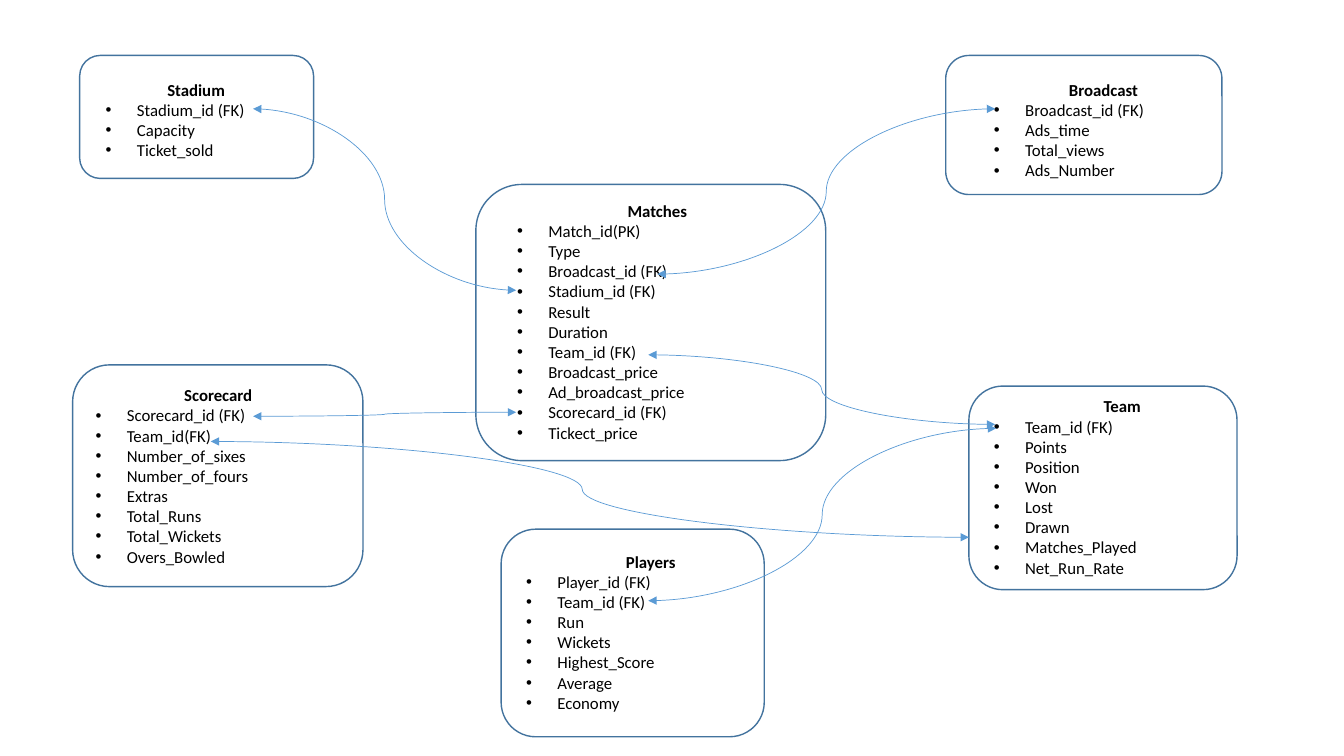
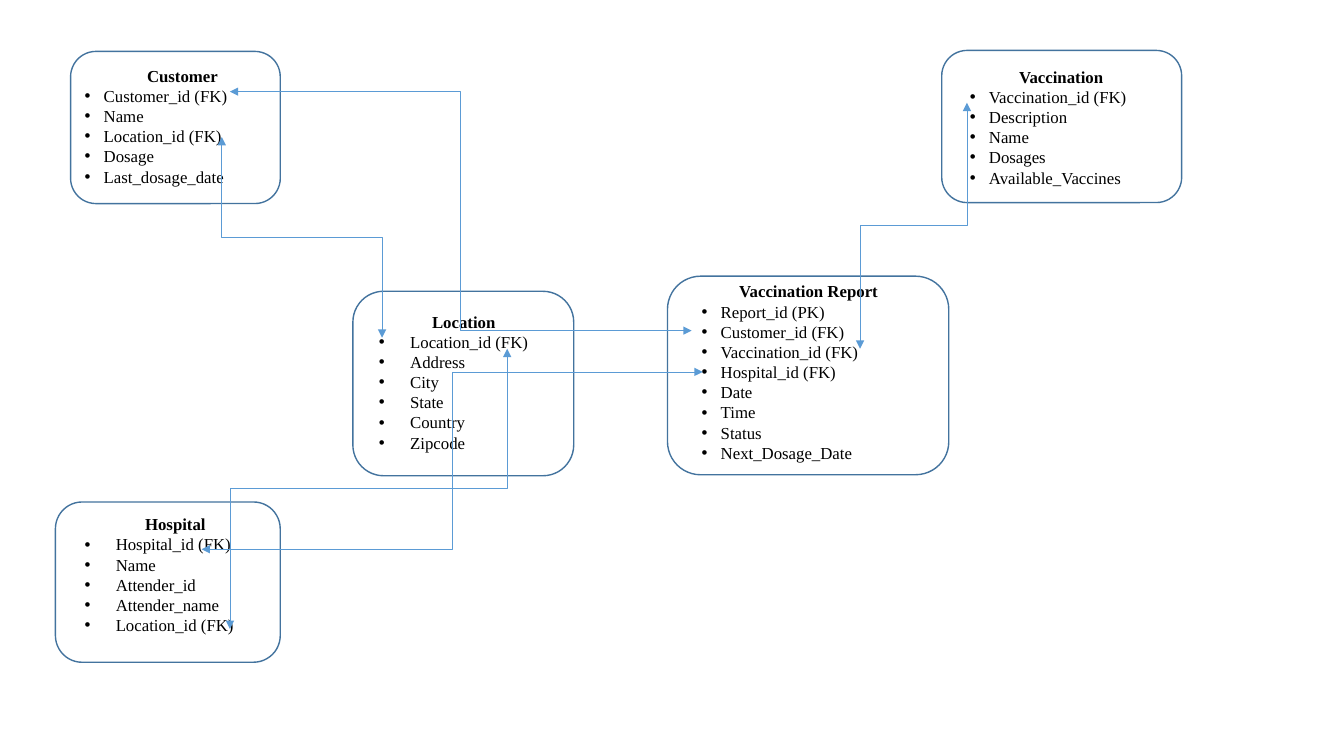
"""Builds two entity diagrams: a sports league and a vaccination service."""
from lxml.etree import SubElement
from pptx import Presentation
from pptx.dml.color import RGBColor
from pptx.enum.shapes import MSO_CONNECTOR, MSO_SHAPE
from pptx.enum.text import MSO_AUTO_SIZE, PP_ALIGN
from pptx.oxml.ns import qn
from pptx.util import Inches, Pt

COLORS = {"text": "000000", "frame": "43739E", "link": "5B9BD5"}
WIDE_INDENT, NARROW_INDENT = 0.31, 0.19


def add_entity(page, font, frame, area, indent, title, fields):
    outline = page.shapes.add_shape(MSO_SHAPE.ROUNDED_RECTANGLE, *map(Inches, frame))
    outline.shadow.inherit = False
    outline.fill.background()
    outline.line.color.rgb = RGBColor.from_string(COLORS["frame"])
    outline.line.width = Pt(1)

    box = page.shapes.add_textbox(*map(Inches, area))
    box.text_frame.word_wrap = True
    box.text_frame.auto_size = MSO_AUTO_SIZE.SHAPE_TO_FIT_TEXT
    for index, text in enumerate([title, *fields]):
        if index == 0:
            para = box.text_frame.paragraphs[0]
            para.alignment = PP_ALIGN.CENTER
        else:
            para = box.text_frame.add_paragraph()
            properties = para._p.get_or_add_pPr()
            properties.set("marL", str(Inches(indent)))
            properties.set("indent", str(-Inches(indent)))
            SubElement(properties, qn("a:buFont"), typeface="Arial")
            SubElement(properties, qn("a:buChar"), char="•")
        span = para.add_run()
        span.text = text
        span.font.name = font
        span.font.size = Pt(12)
        span.font.bold = index == 0
        span.font.color.rgb = RGBColor.from_string(COLORS["text"])


def add_link(page, kind, start, end, upright=False, bend=None):
    (x1, y1), (x2, y2) = start, end
    if upright:
        middle_x, middle_y = (x1 + x2) / 2, (y1 + y2) / 2
        half_x, half_y = (y2 - y1) / 2, (x1 - x2) / 2
        x1, y1 = middle_x - half_x, middle_y - half_y
        x2, y2 = middle_x + half_x, middle_y + half_y
    link = page.shapes.add_connector(kind, *map(Inches, (x1, y1, x2, y2)))
    if upright:
        link.rotation = 90
    link.line.color.rgb = RGBColor.from_string(COLORS["link"])
    link.line.width = Pt(0.5)
    properties = link._element.spPr
    stroke = properties.find(qn("a:ln"))
    for tip in ("a:headEnd", "a:tailEnd"):
        SubElement(stroke, qn(tip), type="triangle")
    SubElement(properties, qn("a:effectLst"))
    if bend is not None:
        guides = properties.find(qn("a:prstGeom")).find(qn("a:avLst"))
        SubElement(guides, qn("a:gd"), name="adj1", fmla=f"val {round(bend * 100000)}")


league_entities = [
    ((4.72, 1.83, 3.47, 2.74), (5.03, 1.94, 2.98, 2.52), WIDE_INDENT, "Matches",
     ["Match_id(PK)", "Type", "Broadcast_id (FK)", "Stadium_id (FK)", "Result", "Duration",
      "Team_id (FK)", "Broadcast_price", "Ad_broadcast_price", "Scorecard_id (FK)",
      "Tickect_price"]),
    ((0.79, 0.55, 2.32, 1.22), (0.95, 0.74, 1.99, 1.11), WIDE_INDENT, "Stadium",
     ["Stadium_id (FK)", "Capacity", "Ticket_sold"]),
    ((9.38, 0.55, 2.74, 1.38), (9.76, 0.74, 2.37, 1.11), WIDE_INDENT, "Broadcast",
     ["Broadcast_id (FK)", "Ads_time", "Total_views", "Ads_Number"]),
    ((0.72, 3.62, 2.88, 2.2), (0.85, 3.77, 2.63, 1.92), WIDE_INDENT, "Scorecard",
     ["Scorecard_id (FK)", "Team_id(FK)", "Number_of_sixes", "Number_of_fours", "Extras",
      "Total_Runs", "Total_Wickets", "Overs_Bowled"]),
    ((9.61, 3.83, 2.66, 2.02), (9.76, 3.88, 2.74, 1.92), WIDE_INDENT, "Team",
     ["Team_id (FK)", "Points", "Position", "Won", "Lost", "Drawn", "Matches_Played",
      "Net_Run_Rate"]),
    ((4.97, 5.25, 2.61, 2.06), (5.12, 5.42, 2.67, 1.72), WIDE_INDENT, "Players",
     ["Player_id (FK)", "Team_id (FK)", "Run", "Wickets", "Highest_Score", "Average",
      "Economy"]),
]
league_links = [
    ((2.51, 1.08), (5.12, 2.88)),
    ((2.51, 4.13), (5.12, 4.09)),
    ((6.52, 2.72), (9.87, 1.08)),
    ((6.43, 5.96), (9.88, 4.25)),
    ((2.09, 4.38), (9.61, 5.33), False, 0.49),
    ((6.43, 3.52), (9.87, 4.21)),
]

vaccine_entities = [
    ((0.7, 0.51, 2.08, 1.51), (0.74, 0.6, 2.14, 1.31), NARROW_INDENT, "Customer",
     ["Customer_id (FK)", "Name", "Location_id (FK)", "Dosage", "Last_dosage_date"]),
    ((9.34, 0.5, 2.38, 1.51), (9.52, 0.61, 2.01, 1.31), NARROW_INDENT, "Vaccination",
     ["Vaccination_id (FK)", "Description", "Name", "Dosages", "Available_Vaccines"]),
    ((6.62, 2.74, 2.79, 1.97), (6.86, 2.74, 2.32, 2.12), NARROW_INDENT, "Vaccination Report",
     ["Report_id (PK)", "Customer_id (FK)", "Vaccination_id (FK)", "Hospital_id (FK)", "Date",
      "Time", "Status", "Next_Dosage_Date"]),
    ((3.5, 2.89, 2.19, 1.83), (3.66, 3.04, 1.88, 1.51), WIDE_INDENT, "Location",
     ["Location_id (FK)", "Address", "City", "State", "Country", "Zipcode"]),
    ((0.55, 4.98, 2.23, 1.59), (0.74, 5.05, 2, 1.31), WIDE_INDENT, "Hospital",
     ["Hospital_id (FK)", "Name", "Attender_id", "Attender_name", "Location_id (FK)"]),
]
vaccine_links = [
    ((2.28, 6.24), (5.03, 3.46), True),
    ((2.28, 0.91), (6.86, 3.28)),
    ((2.2, 1.36), (3.79, 3.35), True),
    ((8.53, 3.46), (9.59, 1.02), True),
    ((2, 5.45), (6.97, 3.69)),
]

deck = Presentation()
deck.slide_width, deck.slide_height = Inches(13.33), Inches(7.5)
diagrams = [
    ("Calibri", MSO_CONNECTOR.CURVE, league_entities, league_links),
    ("Times New Roman", MSO_CONNECTOR.ELBOW, vaccine_entities, vaccine_links),
]
for font, kind, entities, links in diagrams:
    page = deck.slides.add_slide(deck.slide_layouts[6])
    for entity in entities:
        add_entity(page, font, *entity)
    for link in links:
        add_link(page, kind, *link)
deck.save("out.pptx")
